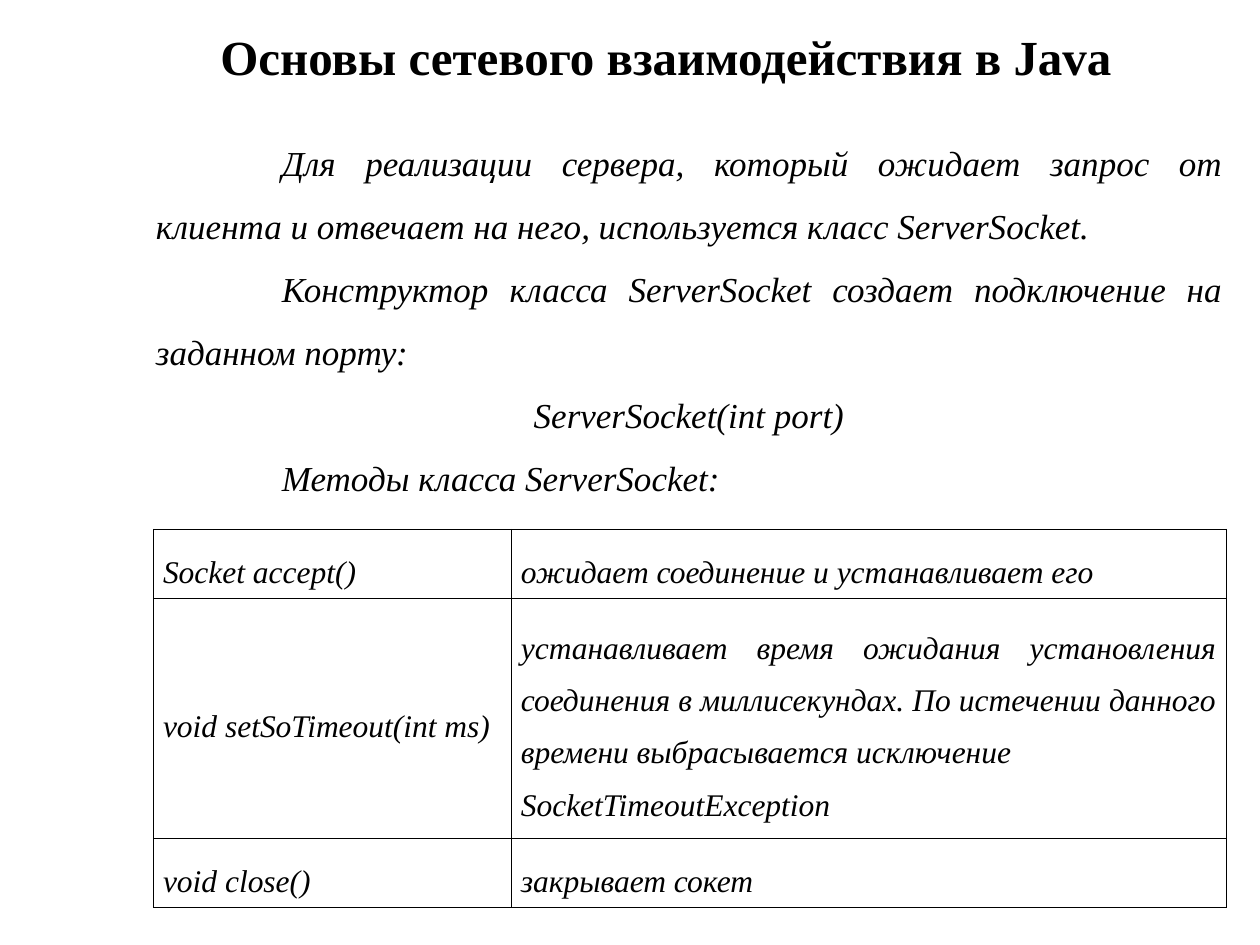
import pptx
import pptx.util
import pptx.dml.color
import pptx.enum.text
import pptx.oxml.ns
from lxml import etree

Pt = pptx.util.Pt
Align = pptx.enum.text.PP_ALIGN
Anchor = pptx.enum.text.MSO_ANCHOR
COLORS = {"ink": "000000"}
FONT = "Times New Roman"


def write(para, text, size=20, bold=False, italic=True,
          align=Align.JUSTIFY, space=1.5, indent=0):
    para.alignment = align
    para.line_spacing = space
    if indent:
        para._p.get_or_add_pPr().set("indent", str(Pt(indent)))
    run = para.add_run()
    run.text = text
    font = run.font
    font.name, font.size = FONT, Pt(size)
    font.bold, font.italic = bold, italic
    font.color.rgb = pptx.dml.color.RGBColor.from_string(COLORS["ink"])


def frame(cell, width=0.45):
    """Draw a thin line on all four sides of a table cell."""
    props = cell._tc.get_or_add_tcPr()
    qn = pptx.oxml.ns.qn
    for side in ("lnL", "lnR", "lnT", "lnB"):
        line = etree.SubElement(props, qn("a:" + side), w=str(Pt(width)))
        fill = etree.SubElement(line, qn("a:solidFill"))
        etree.SubElement(fill, qn("a:srgbClr"), val=COLORS["ink"])


deck = pptx.Presentation()
deck.slide_width, deck.slide_height = Pt(720), Pt(540)
slide = deck.slides.add_slide(deck.slide_layouts[5])

# Title
title = slide.shapes.title
title.left, title.top, title.width, title.height = Pt(88.5), Pt(15), Pt(584), Pt(34)
title.text_frame.vertical_anchor = Anchor.MIDDLE
write(title.text_frame.paragraphs[0], "Основы сетевого взаимодействия в Java",
      size=28, bold=True, italic=False, align=Align.CENTER, space=1.0)

# Body text
body = slide.shapes.add_textbox(Pt(82), Pt(65.5), Pt(623.5), Pt(223)).text_frame
body.word_wrap = True
lines = [
    ("Для реализации сервера, который ожидает запрос от клиента и отвечает "
     "на него, используется класс ServerSocket.", Align.JUSTIFY, 72),
    ("Конструктор класса ServerSocket создает подключение на заданном порту:",
     Align.JUSTIFY, 72),
    ("ServerSocket(int port)", Align.CENTER, 0),
    ("Методы класса ServerSocket:", Align.JUSTIFY, 72),
]
for i, (text, align, indent) in enumerate(lines):
    para = body.add_paragraph() if i else body.paragraphs[0]
    write(para, text, align=align, indent=indent)

# Table of methods
rows = [
    (32.4, ["Socket accept()"], ["ожидает соединение и устанавливает его"]),
    (129.6, ["void setSoTimeout(int ms)"],
     ["устанавливает время ожидания установления соединения в миллисекундах. "
      "По истечении данного времени выбрасывается исключение",
      "SocketTimeoutException"]),
    (32.4, ["void close()"], ["закрывает сокет"]),
]
widths = [204.5, 408.25]
table = slide.shapes.add_table(len(rows), len(widths), Pt(87.75), Pt(302.4),
                               Pt(sum(widths)), Pt(194.4)).table
table.first_row = table.horz_banding = False
for col, width in zip(table.columns, widths):
    col.width = Pt(width)
for r, (height, *cells) in enumerate(rows):
    table.rows[r].height = Pt(height)
    for c, texts in enumerate(cells):
        cell = table.cell(r, c)
        cell.vertical_anchor = Anchor.MIDDLE
        cell.margin_left = cell.margin_right = Pt(5.4)
        cell.margin_top = cell.margin_bottom = Pt(3.6)
        frame(cell)
        cell.fill.background()
        for i, text in enumerate(texts):
            area = cell.text_frame
            para = area.add_paragraph() if i else area.paragraphs[0]
            write(para, text, size=18)

deck.save("out.pptx")
